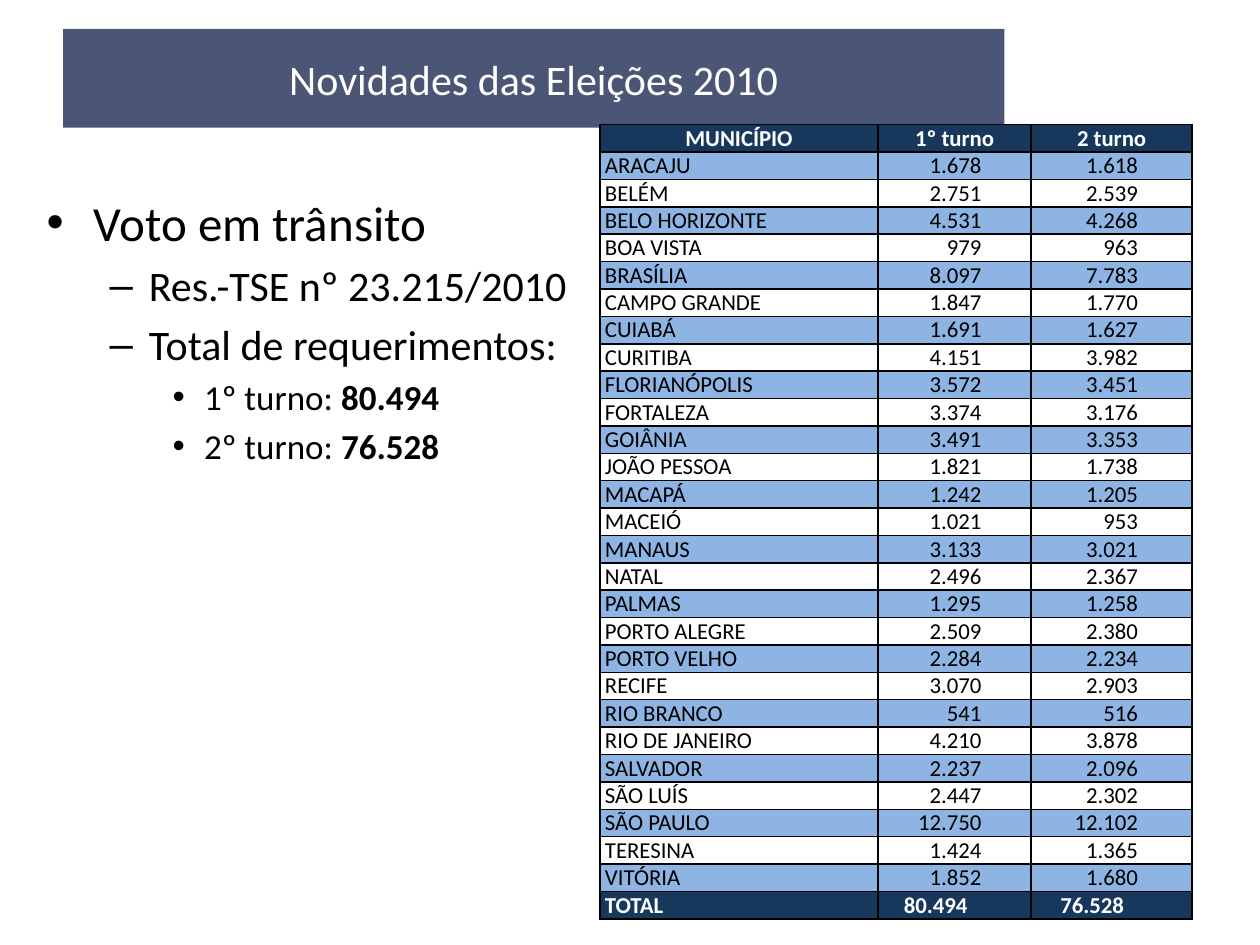
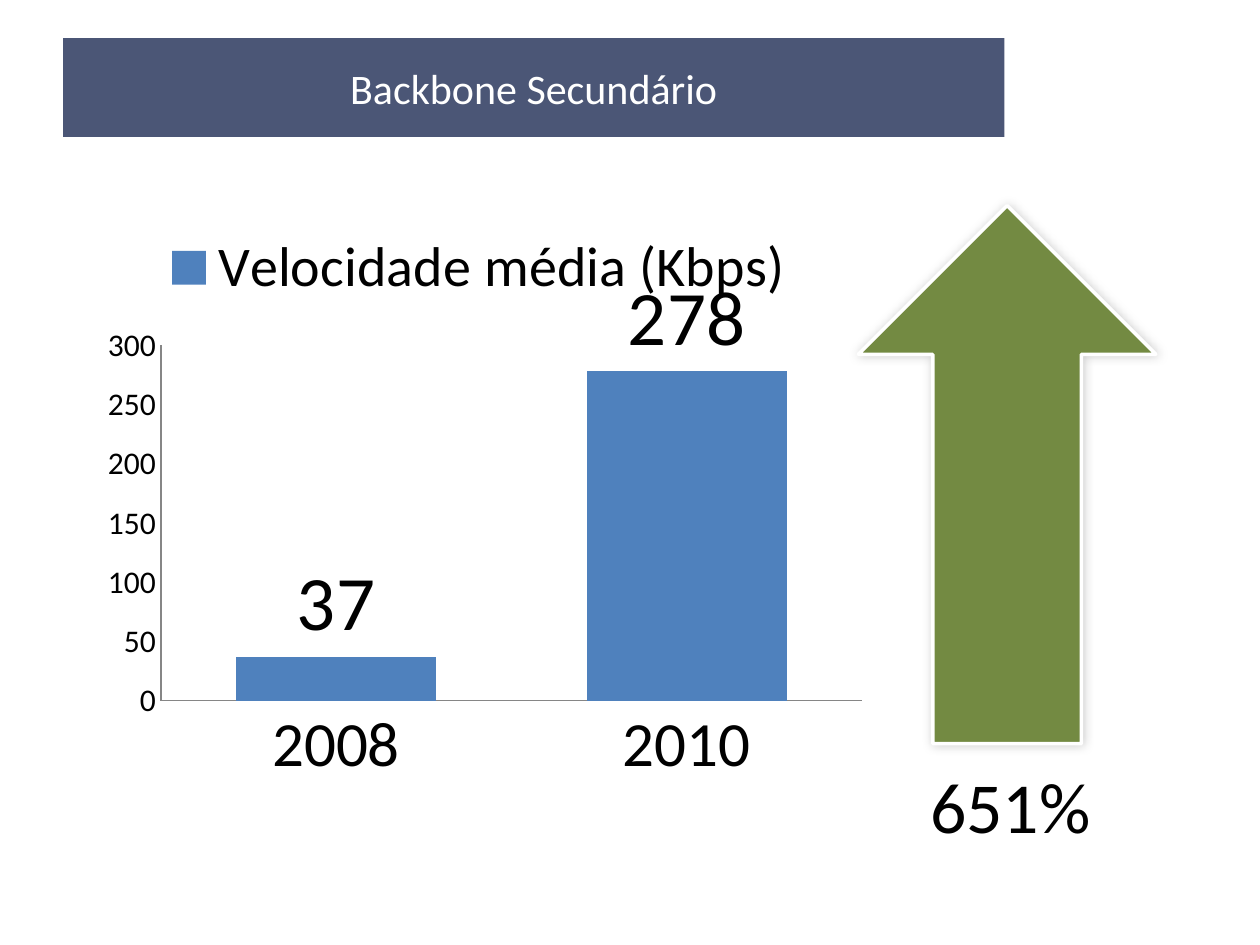
from dataclasses import dataclass

from lxml.etree import SubElement
from pptx import Presentation
from pptx.chart.chart import Chart
from pptx.chart.data import CategoryChartData
from pptx.dml.color import RGBColor
from pptx.enum.chart import XL_CHART_TYPE, XL_LABEL_POSITION, XL_LEGEND_POSITION, XL_TICK_MARK
from pptx.enum.shapes import MSO_SHAPE
from pptx.enum.text import MSO_ANCHOR, PP_ALIGN
from pptx.oxml import parse_xml
from pptx.oxml.ns import nsdecls, qn
from pptx.slide import Slide
from pptx.table import _Cell
from pptx.text.text import Font
from pptx.util import Pt

COLORS = {
    "band": "4B5676",
    "header": "17375D",
    "stripe": "8DB4E3",
    "bar": "4F81BD",
    "arrow": "738A42",
    "axis": "868686",
    "white": "FFFFFF",
    "black": "000000",
}
FONT = "Calibri"

VOTES = [
    ("ARACAJU", "1.678", "1.618"),
    ("BELÉM", "2.751", "2.539"),
    ("BELO HORIZONTE", "4.531", "4.268"),
    ("BOA VISTA", "979", "963"),
    ("BRASÍLIA", "8.097", "7.783"),
    ("CAMPO GRANDE", "1.847", "1.770"),
    ("CUIABÁ", "1.691", "1.627"),
    ("CURITIBA", "4.151", "3.982"),
    ("FLORIANÓPOLIS", "3.572", "3.451"),
    ("FORTALEZA", "3.374", "3.176"),
    ("GOIÂNIA", "3.491", "3.353"),
    ("JOÃO PESSOA", "1.821", "1.738"),
    ("MACAPÁ", "1.242", "1.205"),
    ("MACEIÓ", "1.021", "953"),
    ("MANAUS", "3.133", "3.021"),
    ("NATAL", "2.496", "2.367"),
    ("PALMAS", "1.295", "1.258"),
    ("PORTO ALEGRE", "2.509", "2.380"),
    ("PORTO VELHO", "2.284", "2.234"),
    ("RECIFE", "3.070", "2.903"),
    ("RIO BRANCO", "541", "516"),
    ("RIO DE JANEIRO", "4.210", "3.878"),
    ("SALVADOR", "2.237", "2.096"),
    ("SÃO LUÍS", "2.447", "2.302"),
    ("SÃO PAULO", "12.750", "12.102"),
    ("TERESINA", "1.424", "1.365"),
    ("VITÓRIA", "1.852", "1.680"),
]
ROWS = [("MUNICÍPIO", "1º turno", "2 turno"), *VOTES, ("TOTAL", "80.494", "76.528")]


@dataclass(frozen=True)
class Level:
    size: float
    margin: float
    hanging: float
    bullet: str


@dataclass(frozen=True)
class Item:
    level: int
    text: str
    bold_text: str = ""


@dataclass(frozen=True)
class Column:
    width: float
    right_inset: float


LEVELS = [Level(28, 27, 27, "•"), Level(24, 58.5, 22.5, "–"), Level(20, 90, 18, "•")]
ITEMS = [
    Item(0, "Voto em trânsito"),
    Item(1, "Res.-TSE nº 23.215/2010"),
    Item(1, "Total de requerimentos:"),
    Item(2, "1º turno: ", "80.494"),
    Item(2, "2º turno: ", "76.528"),
]
COLUMNS = [Column(159, 3), Column(87.5, 28.5), Column(92, 31)]
TOTAL_EXTRA_INSET = 8


def rgb(name: str) -> RGBColor:
    return RGBColor.from_string(COLORS[name])


def style(font: Font, size: float, color: str = "black", bold: bool = False) -> None:
    font.name = FONT
    font.size = Pt(size)
    font.bold = bold
    font.color.rgb = rgb(color)


def add_title_band(page: Slide, title: str, top: float) -> None:
    band = page.shapes.add_shape(MSO_SHAPE.RECTANGLE, Pt(36), Pt(top), Pt(538), Pt(56.5))
    band.shadow.inherit = False
    band.fill.solid()
    band.fill.fore_color.rgb = rgb("band")
    band.line.fill.background()
    band.text_frame.text = title
    band.text_frame.vertical_anchor = MSO_ANCHOR.MIDDLE
    para = band.text_frame.paragraphs[0]
    para.alignment = PP_ALIGN.CENTER
    style(para.runs[0].font, 24, "white")


def add_bullets(page: Slide, items: list[Item]) -> None:
    box = page.shapes.add_textbox(Pt(19.5), Pt(106.5), Pt(312), Pt(180))
    frame = box.text_frame
    frame.word_wrap = True
    frame.text = "\n".join(item.text for item in items)
    for para, item in zip(frame.paragraphs, items):
        level = LEVELS[item.level]
        para.level = item.level
        para.space_before = Pt(level.size * 0.2)
        style(para.runs[0].font, level.size)
        if item.bold_text:
            span = para.add_run()
            span.text = item.bold_text
            style(span.font, level.size, bold=True)
        properties = para._p.get_or_add_pPr()
        properties.set("marL", str(Pt(level.margin)))
        properties.set("indent", str(-Pt(level.hanging)))
        SubElement(properties, qn("a:buFont"), typeface="Arial")
        SubElement(properties, qn("a:buChar"), char=level.bullet)


def add_borders(cell: _Cell) -> None:
    properties = cell._tc.get_or_add_tcPr()
    for position, side in enumerate(("lnL", "lnR", "lnT", "lnB")):
        line = parse_xml(
            f'<a:{side} {nsdecls("a")} w="{Pt(1)}"><a:solidFill>'
            f'<a:srgbClr val="{COLORS["black"]}"/></a:solidFill></a:{side}>'
        )
        properties.insert(position, line)


def add_votes_table(page: Slide) -> None:
    row_height = 15.6
    width = sum(column.width for column in COLUMNS)
    frame = page.shapes.add_table(
        len(ROWS), len(COLUMNS), Pt(342.75), Pt(71.25), Pt(width), Pt(row_height * len(ROWS))
    )
    table = frame.table
    table.first_row = table.horz_banding = False
    for table_column, column in zip(table.columns, COLUMNS):
        table_column.width = Pt(column.width)
    last = len(ROWS) - 1
    for r, row in enumerate(ROWS):
        table.rows[r].height = Pt(row_height)
        strong = r in (0, last)
        for c, text in enumerate(row):
            cell = table.cell(r, c)
            cell.text = text
            cell.vertical_anchor = MSO_ANCHOR.BOTTOM
            cell.margin_left = cell.margin_right = Pt(3)
            cell.margin_top = cell.margin_bottom = 0
            para = cell.text_frame.paragraphs[0]
            if r == 0:
                para.alignment = PP_ALIGN.CENTER
            elif c > 0:
                para.alignment = PP_ALIGN.RIGHT
                extra = TOTAL_EXTRA_INSET if r == last else 0
                cell.margin_right = Pt(COLUMNS[c].right_inset + extra)
            style(para.runs[0].font, 13, "white" if strong else "black", strong)
            if strong or r % 2:
                cell.fill.solid()
                cell.fill.fore_color.rgb = rgb("header" if strong else "stripe")
            else:
                cell.fill.background()
            add_borders(cell)


def place_chart_part(
    chart: Chart, tag: str, position: int, bounds: tuple[float, ...], inner: bool = False
) -> None:
    """Fix a chart part at x, y, width, height, as fractions of the chart."""
    part = next(chart.element.iter(qn(tag)))
    for old in part.findall(qn("c:layout")):
        part.remove(old)
    target = '<c:layoutTarget val="inner"/>' if inner else ""
    modes = '<c:xMode val="edge"/><c:yMode val="edge"/>'
    sizes = "".join(f'<c:{key} val="{value}"/>' for key, value in zip("xywh", bounds))
    layout = parse_xml(
        f'<c:layout {nsdecls("c")}><c:manualLayout>{target}{modes}{sizes}'
        "</c:manualLayout></c:layout>"
    )
    part.insert(position, layout)


def add_speed_chart(page: Slide) -> None:
    data = CategoryChartData()
    data.categories = ["2008", "2010"]
    data.add_series("Velocidade média (Kbps)", (37, 278))
    chart = page.shapes.add_chart(
        XL_CHART_TYPE.COLUMN_CLUSTERED, Pt(36), Pt(126), Pt(466), Pt(356.5), data
    ).chart
    style(chart.font, 18)
    chart.has_title = False

    chart.has_legend = True
    chart.legend.position = XL_LEGEND_POSITION.BOTTOM
    chart.legend.include_in_layout = False
    style(chart.legend.font, 32)
    place_chart_part(chart, "c:legend", 1, (0.12, 0.02, 0.78, 0.11))
    place_chart_part(chart, "c:plotArea", 0, (0.12, 0.2, 0.86, 0.57), inner=True)

    for axis, size in ((chart.category_axis, 36), (chart.value_axis, 18)):
        axis.has_major_gridlines = False
        axis.major_tick_mark = axis.minor_tick_mark = XL_TICK_MARK.NONE
        axis.format.line.color.rgb = rgb("axis")
        axis.format.line.width = Pt(0.75)
        style(axis.tick_labels.font, size)
    chart.value_axis.minimum_scale = 0
    chart.value_axis.maximum_scale = 300
    chart.value_axis.major_unit = 50

    plot = chart.plots[0]
    plot.gap_width = 75
    plot.vary_by_categories = False
    speed = plot.series[0]
    speed.format.fill.solid()
    speed.format.fill.fore_color.rgb = rgb("bar")
    labels = speed.data_labels
    labels.show_value = True
    labels.position = XL_LABEL_POSITION.OUTSIDE_END
    style(labels.font, 44)


def add_growth_arrow(page: Slide) -> None:
    group = page.shapes.add_group_shape()
    arrow = group.shapes.add_shape(MSO_SHAPE.UP_ARROW, Pt(490.5), Pt(117.5), Pt(170), Pt(307.5))
    arrow.fill.solid()
    arrow.fill.fore_color.rgb = rgb("arrow")
    arrow.line.color.rgb = rgb("white")
    arrow.line.width = Pt(2)
    arrow.shadow.inherit = False
    effects = arrow._element.spPr.find(qn("a:effectLst"))
    shadow = SubElement(
        effects, qn("a:outerShdw"), blurRad=str(Pt(6)), dist="0", dir=str(315 * 60000)
    )
    shadow_color = SubElement(shadow, qn("a:srgbClr"), val=COLORS["black"])
    SubElement(shadow_color, qn("a:alpha"), val="20000")

    box = group.shapes.add_textbox(Pt(507.5), Pt(434), Pt(140), Pt(81.5))
    frame = box.text_frame
    frame.word_wrap = True
    frame.vertical_anchor = MSO_ANCHOR.MIDDLE
    frame.margin_left = frame.margin_right = frame.margin_bottom = Pt(23)
    frame.margin_top = 0
    frame.text = "651%"
    para = frame.paragraphs[0]
    para.alignment = PP_ALIGN.CENTER
    para.line_spacing = 0.9
    style(para.runs[0].font, 41)


def main() -> None:
    deck = Presentation()
    deck.slide_width, deck.slide_height = Pt(720), Pt(540)
    blank = deck.slide_layouts[6]

    votes_page = deck.slides.add_slide(blank)
    add_bullets(votes_page, ITEMS)
    add_title_band(votes_page, "Novidades das Eleições 2010", 16.5)
    add_votes_table(votes_page)

    speed_page = deck.slides.add_slide(blank)
    add_speed_chart(speed_page)
    add_growth_arrow(speed_page)
    add_title_band(speed_page, "Backbone Secundário", 21.75)

    deck.save("out.pptx")


if __name__ == "__main__":
    main()
